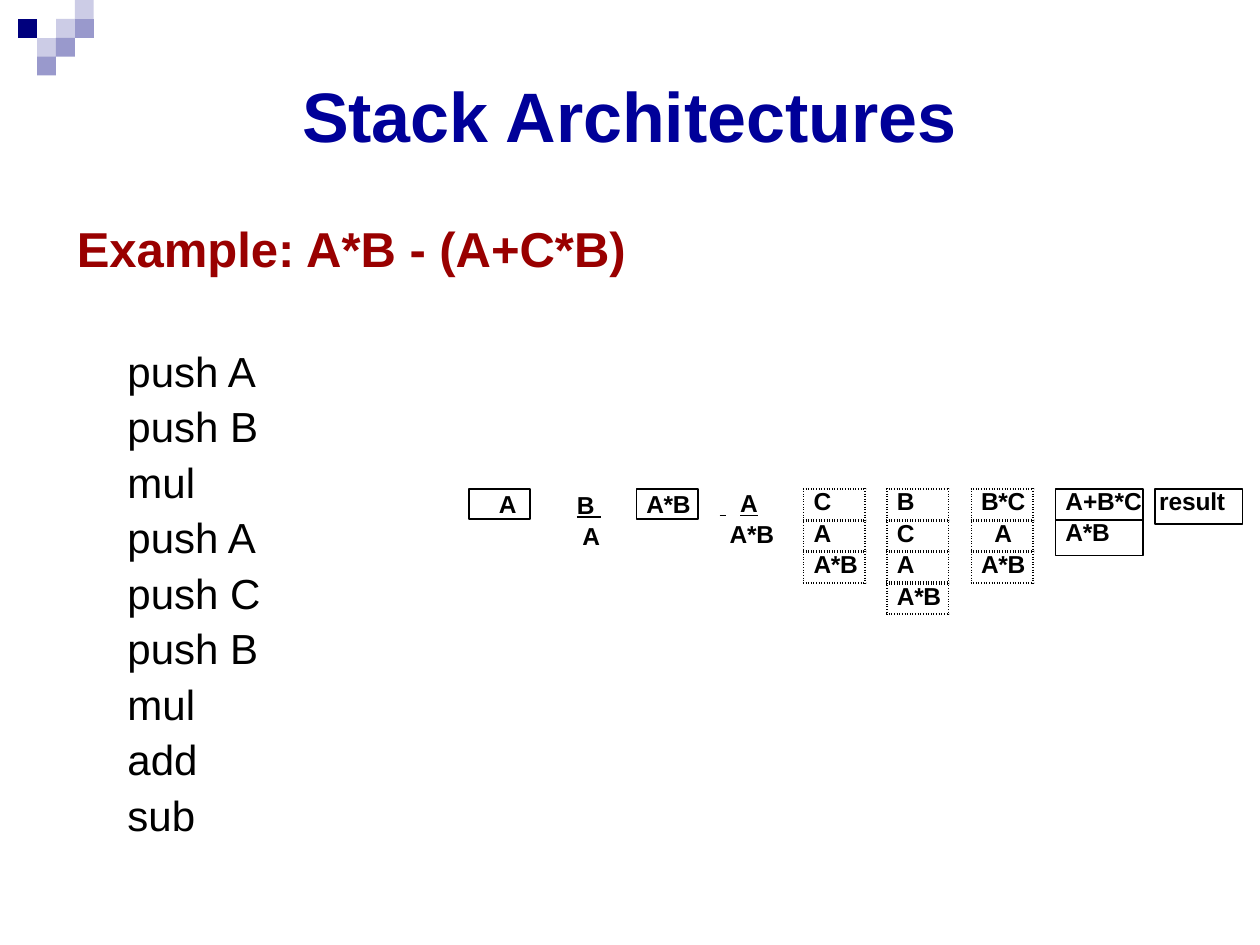
from lxml.etree import SubElement
from pptx import Presentation
from pptx.dml.color import RGBColor
from pptx.enum.shapes import MSO_SHAPE as Shape
from pptx.enum.text import MSO_ANCHOR as Anchor, MSO_AUTO_SIZE as AutoSize, PP_ALIGN as Align
from pptx.oxml.ns import qn
from pptx.util import Cm, Pt

ROW = 0.63
CELL_W = 1.24
WIDE_W = 1.76


def color(value):
    return RGBColor.from_string(value)


def add_run(p, text, size, bold, fill, underline, spc):
    r = p.add_run()
    r.text = text
    r.font.name = "Arial"
    r.font.size = Pt(size)
    r.font.bold = bold
    r.font.underline = underline
    r.font.color.rgb = color(fill)
    r._r.get_or_add_rPr().set("spc", str(round(spc * 100)))


def write(tf, text, size=14, bold=True, fill="000000", underline=False, spc=0,
          indent=0, leading=None, align=Align.LEFT, top=0):
    tf.word_wrap = True
    tf.auto_size = AutoSize.NONE
    tf.vertical_anchor = Anchor.TOP
    tf.margin_left = tf.margin_right = tf.margin_bottom = 0
    tf.margin_top = Cm(top)
    for i, line in enumerate(text.split("\n")):
        p = tf.add_paragraph() if i else tf.paragraphs[0]
        p.alignment = align
        p.space_before = Pt(0)
        if leading:
            p.line_spacing = Pt(leading)
        pPr = p._p.get_or_add_pPr()
        pPr.set("marL", str(Cm(indent)))
        pPr.set("indent", "0")
        SubElement(pPr, qn("a:buNone"))
        add_run(p, line, size, bold, fill, underline, spc)
    return tf.paragraphs[0]


def place(sp, x, y, w, h):
    sp.left, sp.top, sp.width, sp.height = Cm(x), Cm(y), Cm(w), Cm(h)


def label(s, text, x, y, w, h, **fmt):
    sp = s.shapes.add_textbox(Cm(x), Cm(y), Cm(w), Cm(h))
    return write(sp.text_frame, text, top=0.06, **fmt)


def boxed(s, text, x, y, w, h, **fmt):
    sp = s.shapes.add_shape(Shape.RECTANGLE, Cm(x), Cm(y), Cm(w), Cm(h))
    sp.shadow.inherit = False
    sp.fill.background()
    sp.line.color.rgb = color("000000")
    sp.line.width = Pt(1)
    write(sp.text_frame, text, **fmt)


def border(cell, side, width):
    ln = SubElement(cell._tc.get_or_add_tcPr(), qn(f"a:ln{side}"), w=str(Pt(width)))
    SubElement(SubElement(ln, qn("a:solidFill")), qn("a:srgbClr"), val="000000")
    SubElement(ln, qn("a:prstDash"), val="sysDot")


def stack_table(s, items, x, y, indent=0.2, align=Align.LEFT):
    n = len(items)
    frame = s.shapes.add_table(n, 1, Cm(x), Cm(y), Cm(CELL_W), Cm(ROW * n))
    table = frame.table
    table.first_row = table.horz_banding = False
    table.columns[0].width = Cm(CELL_W)
    for i, item in enumerate(items):
        table.rows[i].height = Cm(ROW)
        cell = table.cell(i, 0)
        cell.margin_left = cell.margin_right = cell.margin_top = cell.margin_bottom = 0
        tf = cell.text_frame
        write(tf, item, spc=-0.2 if "*" in item else -0.5, indent=indent,
              leading=15.8 if i else 15.2, align=align)
        border(cell, "L", 1)
        border(cell, "R", 1)
        border(cell, "T", 2.25 if i else 1)
        border(cell, "B", 2.25 if i < n - 1 else 1)
        cell.fill.background()


def corner_squares(s, x, y, side):
    groups = [
        ("CCCCE6", [(2, 1), (3, 0)]),
        ("9999CC", [(3, 1)]),
        ("CCCCE6", [(1, 2)]),
        ("00007D", [(0, 1)]),
        ("9999CC", [(2, 2), (1, 3)]),
    ]
    for fill, squares in groups:
        builder = None
        for col, row in squares:
            x1, x2 = (Cm(x + side * c) for c in (col, col + 1))
            y1, y2 = (Cm(y + side * r) for r in (row, row + 1))
            if builder:
                builder.move_to(x1, y1)
            else:
                builder = s.shapes.build_freeform(x1, y1)
            builder.add_line_segments([(x2, y1), (x2, y2), (x1, y2)], close=True)
        sp = builder.convert_to_shape()
        sp.shadow.inherit = False
        sp.fill.solid()
        sp.fill.fore_color.rgb = color(fill)
        sp.line.fill.background()


def heading(s, x, y, w, h):
    place(s.shapes.title, x, y, w, h)
    write(s.shapes.title.text_frame, "Stack Architectures", size=40, fill="000099",
          indent=3.8, top=0.06)


def program(s, x, y, w, h):
    label(s, "Example: A*B - (A+C*B)", x, y, 11.5, 1.24, size=28, fill="990000")
    body = s.placeholders[1]
    place(body, x + 0.99, y + 2.49, w, h)
    code = "push A\npush B\nmul\npush A\npush C\npush B\nmul\nadd\nsub"
    write(body.text_frame, code, size=24, bold=False, leading=31.7, indent=0.03, top=0.03)


def stack_states(s, x, y):
    boxed(s, "A", x, y, CELL_W, 0.61, indent=0.61, leading=16.5, spc=-0.5)

    p = label(s, "B", x + 1.65, y - 0.05, 1.3, 0.66, indent=0.53, underline=True, spc=-0.5)
    add_run(p, " ", 14, True, "000000", True, 5)
    label(s, "A", x + 2.26, y + 0.58, 0.43, 0.66, indent=0.03, spc=-0.5)

    boxed(s, "A*B", x + 3.38, y, CELL_W, 0.61, indent=0.2, leading=16.5, spc=-0.2)

    p = label(s, " ", x + 5.03, y - 0.08, 1.3, 0.66, indent=0.03, underline=True, spc=7.7)
    add_run(p, "A", 14, True, "000000", True, -0.5)
    label(s, "A*B", x + 5.23, y + 0.55, 1.2, 0.66, indent=0.03, spc=-0.2)

    stack_table(s, ["C", "A", "A*B"], x + 6.75, y)
    stack_table(s, ["B", "C", "A", "A*B"], x + 8.43, y)
    stack_table(s, ["B*C", "A", "A*B"], x + 10.13, y, indent=0.05, align=Align.CENTER)

    boxed(s, "A*B", x + 11.83, y + ROW, WIDE_W, 0.71, indent=0.2, leading=15.2, spc=-0.2)
    boxed(s, "A+B*C", x + 11.83, y, WIDE_W, ROW, indent=0.2, leading=15.2, spc=-0.1)
    boxed(s, "result", x + 13.84, y, WIDE_W, 0.71, indent=0.08, leading=15.2, spc=-0.1)


def main():
    prs = Presentation()
    prs.slide_width, prs.slide_height = Cm(25.4), Cm(19.05)
    s = prs.slides.add_slide(prs.slide_layouts[1])
    corner_squares(s, 0.37, 0, 0.38)
    heading(s, 2.29, 1.4, 21.69, 1.75)
    program(s, 1.55, 4.34, 3, 10.13)
    stack_states(s, 9.45, 9.86)
    prs.save("out.pptx")


if __name__ == "__main__":
    main()
